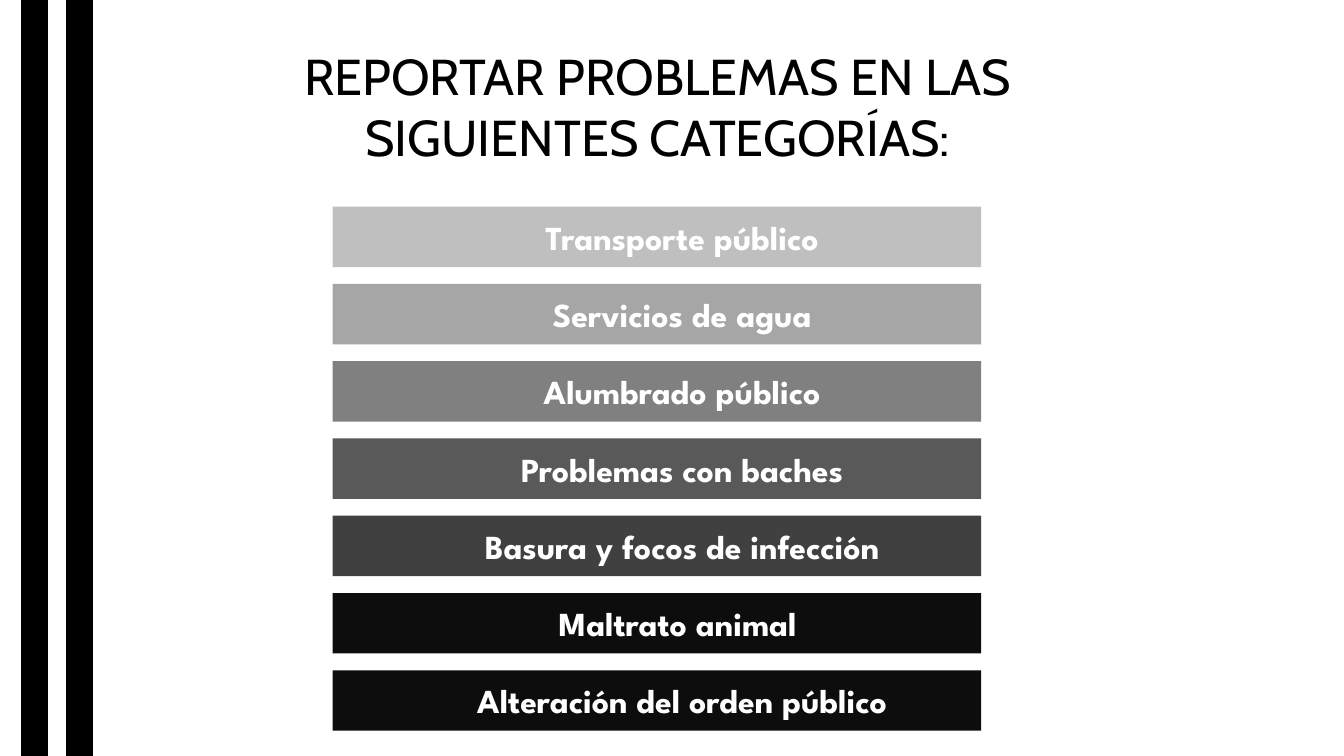
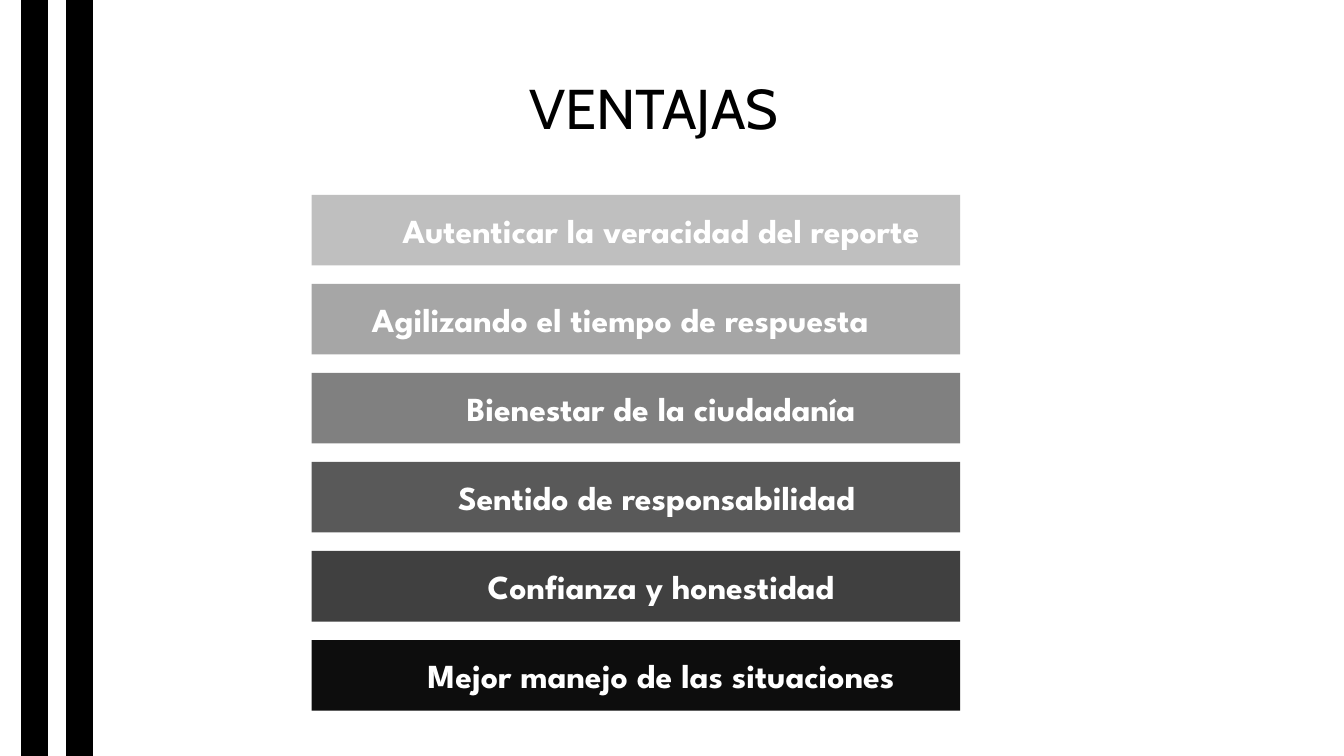
from pptx import Presentation
from pptx.dml.color import RGBColor
from pptx.enum.shapes import MSO_SHAPE
from pptx.enum.text import MSO_ANCHOR, MSO_AUTO_SIZE, PP_ALIGN
from pptx.util import Inches, Pt

RECTANGLE = MSO_SHAPE.RECTANGLE
TOP, MIDDLE = MSO_ANCHOR.TOP, MSO_ANCHOR.MIDDLE
NO_AUTOFIT = MSO_AUTO_SIZE.NONE
LEFT, CENTER, JUSTIFY = PP_ALIGN.LEFT, PP_ALIGN.CENTER, PP_ALIGN.JUSTIFY

BLACK = RGBColor(0x00, 0x00, 0x00)
WHITE = RGBColor(0xFF, 0xFF, 0xFF)
BAR_GRAYS = [RGBColor(level, level, level)
             for level in (0xBF, 0xA6, 0x80, 0x59, 0x40, 0x0D)]

TITLE_FONT = "Cabin"
BAR_FONT = "League Spartan"
BAR_SIZE = 24
BAR_INDENT = Inches(0.5)
BAR_WIDTH = 7.72
STRIPE_COLUMNS = (0.26, 0.79)
STRIPE_WIDTH = 0.31

GRID_COLUMNS, GRID_ROWS = 16, 9
TITLE_ONLY_LAYOUT = 5


class Deck:
    """Holds the shared style and the current slide."""

    def __init__(self):
        """Start a widescreen presentation."""
        self.presentation = Presentation()
        self.presentation.slide_width = Inches(13.33)
        self.presentation.slide_height = Inches(7.5)
        self.slide = None

    def box(self, column, row, columns, rows):
        """Turn grid units into left, top, width and height."""
        cell_width = self.presentation.slide_width / GRID_COLUMNS
        cell_height = self.presentation.slide_height / GRID_ROWS
        return (int(column * cell_width), int(row * cell_height),
                int(columns * cell_width), int(rows * cell_height))

    def new_slide(self):
        """Add a white slide with the two side stripes."""
        layout = self.presentation.slide_layouts[TITLE_ONLY_LAYOUT]
        self.slide = self.presentation.slides.add_slide(layout)
        background = self.slide.background.fill
        background.solid()
        background.fore_color.rgb = WHITE
        for column in STRIPE_COLUMNS:
            stripe = self.rectangle((column, 0, STRIPE_WIDTH, GRID_ROWS), BLACK)
            stripe.line.color.rgb = BLACK
            stripe.line.width = Pt(1)

    def rectangle(self, area, color):
        """Draw a flat rectangle without an outline."""
        shape = self.slide.shapes.add_shape(RECTANGLE, *self.box(*area))
        shape.shadow.inherit = False
        shape.fill.solid()
        shape.fill.fore_color.rgb = color
        shape.line.fill.background()
        return shape

    def label(self, shape, text, font, size, color, alignment, anchor, bold=False):
        """Put one formatted run into a shape and return its paragraph."""
        frame = shape.text_frame
        frame.word_wrap = True
        frame.auto_size = NO_AUTOFIT
        frame.vertical_anchor = anchor
        paragraph = frame.paragraphs[0]
        paragraph.alignment = alignment
        run = paragraph.add_run()
        run.text = text
        run.font.name = font
        run.font.size = Pt(size)
        run.font.bold = bold
        run.font.color.rgb = color
        return paragraph

    def title(self, text, area, size, alignment):
        """Place and fill the title placeholder."""
        title = self.slide.shapes.title
        title.left, title.top, title.width, title.height = self.box(*area)
        self.label(title, text, TITLE_FONT, size, BLACK, alignment, TOP)

    def bars(self, items, column, first_row, pitch, height):
        """Stack labelled bars that darken from top to bottom."""
        for index, (text, alignment) in enumerate(items):
            color = BAR_GRAYS[min(index, len(BAR_GRAYS) - 1)]
            row = first_row + index * pitch
            bar = self.rectangle((column, row, BAR_WIDTH, height), color)
            paragraph = self.label(bar, text, BAR_FONT, BAR_SIZE, WHITE,
                                   alignment, MIDDLE, bold=True)
            paragraph.level = 1
            properties = paragraph._p.get_or_add_pPr()
            properties.set("marL", str(BAR_INDENT))
            properties.set("indent", "0")


def build_categories(deck):
    """Build the slide of report categories."""
    deck.new_slide()
    deck.title("REPORTAR PROBLEMAS EN LAS SIGUIENTES CATEGORÍAS:",
               (2.18, 0.48, 11.3, 1.57), 36, CENTER)
    categories = ["Transporte público", "Servicios de agua", "Alumbrado público",
                  "Problemas con baches", "Basura y focos de infección",
                  "Maltrato animal ", "Alteración del orden público"]
    deck.bars([(category, CENTER) for category in categories],
              column=3.96, first_row=2.46, pitch=0.92, height=0.72)


def build_advantages(deck):
    """Build the slide of advantages."""
    deck.new_slide()
    deck.title("VENTAJAS", (6.18, 0.82, 3.64, 0.92), 40, LEFT)
    advantages = [("Autenticar la veracidad del reporte", CENTER),
                  ("Agilizando el tiempo de respuesta ", JUSTIFY),
                  ("Bienestar de la ciudadanía", CENTER),
                  ("Sentido de responsabilidad ", CENTER),
                  ("Confianza y honestidad", CENTER),
                  ("Mejor manejo de las situaciones", CENTER)]
    deck.bars(advantages, column=3.71, first_row=2.32, pitch=1.06, height=0.84)


def main():
    """Build and save both slides."""
    deck = Deck()
    build_categories(deck)
    build_advantages(deck)
    deck.presentation.save("out.pptx")


main()
